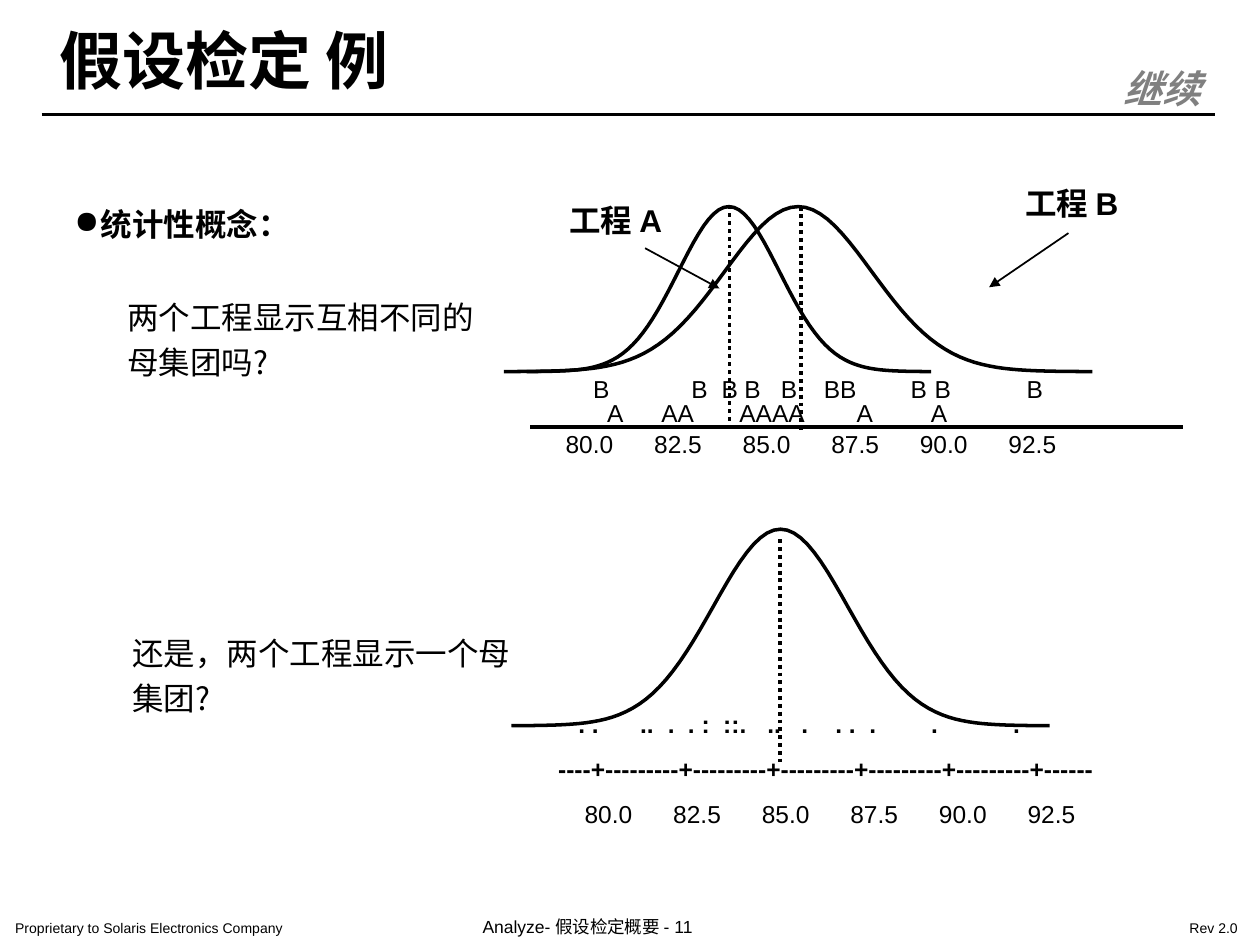
from dataclasses import dataclass
from math import exp
from typing import Optional

from lxml.etree import SubElement
from pptx import Presentation
from pptx.dml.color import RGBColor
from pptx.enum.dml import MSO_LINE_DASH_STYLE as Dash
from pptx.enum.shapes import MSO_CONNECTOR as Connector
from pptx.enum.text import MSO_ANCHOR as Anchor, MSO_AUTO_SIZE as AutoSize
from pptx.oxml.ns import qn
from pptx.util import Inches, Pt

COLUMNS, ROWS = 100, 75  # square grid cells over the whole slide


@dataclass(frozen=True)
class Theme:
    ink: RGBColor = RGBColor(0, 0, 0)
    muted: RGBColor = RGBColor(128, 128, 128)
    latin: str = "Arial"
    chinese: str = "Noto Sans CJK SC"
    heading: str = "Noto Sans CJK KR"
    title: float = 36
    marker: float = 22
    body: float = 18
    data: float = 14
    footer: float = 10
    small: float = 8


THEME = Theme()


@dataclass(frozen=True)
class Line:
    """One paragraph; stops are tab offsets in grid columns."""
    text: str
    size: float = THEME.body
    font: str = THEME.latin
    bold: bool = False
    italic: bool = False
    color: RGBColor = THEME.ink
    spacing: Optional[float] = None
    before: float = 0
    indent: float = 0
    bullet: str = ""
    stops: tuple[float, ...] = ()


@dataclass(frozen=True)
class Label:
    col: float
    row: float
    cols: float
    rows: float
    lines: tuple[Line, ...]
    inset: tuple[float, float] = (1, 0.5)
    wrap: bool = True
    grow: bool = True
    anchor: Anchor = Anchor.TOP


@dataclass(frozen=True)
class Bell:
    """A normal curve spanning four deviations either side of its peak."""
    col: float
    base: float
    cols: float
    rows: float


@dataclass(frozen=True)
class Rule:
    start: tuple[float, float]
    end: tuple[float, float]
    width: float
    dash: Optional[Dash] = None
    arrow: bool = False


deck = Presentation()
deck.slide_width, deck.slide_height = Inches(10), Inches(7.5)
page = deck.slides.add_slide(deck.slide_layouts[6])


def across(cols: float) -> int:
    return round(deck.slide_width * cols / COLUMNS)


def down(rows: float) -> int:
    return round(deck.slide_height * rows / ROWS)


def apply(target: object, values: dict) -> None:
    for name, value in values.items():
        setattr(target, name, value)


def tabbed(entries: dict[float, str], **style) -> Line:
    """Entries placed at tab offsets; an offset of zero needs no tab."""
    lead = "" if 0 in entries else "\t"
    stops = tuple(offset for offset in entries if offset)
    return Line(lead + "\t".join(entries.values()), THEME.data, stops=stops, **style)


def scale_line(offset: float, before: float = 0) -> Line:
    """Axis values from 80.0 to 92.5 in equal steps."""
    return tabbed({round(offset + 7.03 * step, 2): f"{80 + 2.5 * step:.1f}"
                   for step in range(6)}, before=before)


def write_line(para, line: Line) -> None:
    apply(para, {"line_spacing": line.spacing, "space_before": Pt(line.before)})
    props = para._p.get_or_add_pPr()
    if line.indent:
        props.set("marL", str(across(line.indent)))
    if line.bullet:
        props.set("indent", str(-across(line.indent)))
        SubElement(props, qn("a:buChar"), char=line.bullet)
    if line.stops:
        tabs = SubElement(props, qn("a:tabLst"))
        for stop in line.stops:
            SubElement(tabs, qn("a:tab"), pos=str(across(stop)), algn="l")
    span = para.add_run()
    span.text = line.text
    apply(span.font, {"size": Pt(line.size), "bold": line.bold,
                      "italic": line.italic, "name": line.font})
    span.font.color.rgb = line.color
    east = THEME.chinese if line.font == THEME.latin else line.font
    SubElement(span._r.get_or_add_rPr(), qn("a:ea"), typeface=east)


def draw_label(label: Label) -> None:
    box = page.shapes.add_textbox(across(label.col), down(label.row),
                                  across(label.cols), down(label.rows))
    side, edge = across(label.inset[0]), down(label.inset[1])
    frame = box.text_frame
    apply(frame, {"margin_left": side, "margin_right": side, "margin_top": edge,
                  "margin_bottom": edge, "word_wrap": label.wrap,
                  "vertical_anchor": label.anchor,
                  "auto_size": AutoSize.SHAPE_TO_FIT_TEXT if label.grow else AutoSize.NONE})
    for index, line in enumerate(label.lines):
        write_line(frame.add_paragraph() if index else frame.paragraphs[0], line)


def draw_bell(bell: Bell) -> None:
    points = [(across(bell.col + bell.cols * step / 80),
               down(bell.base - bell.rows * exp(-((step - 40) / 10) ** 2 / 2)))
              for step in range(81)]
    builder = page.shapes.build_freeform(*points[0])
    builder.add_line_segments(points[1:], close=False)
    curve = builder.convert_to_shape()
    curve.shadow.inherit = False
    curve.fill.background()
    curve.line.color.rgb = THEME.ink
    curve.line.width = Pt(2)


def draw_rule(rule: Rule) -> None:
    (col, row), (end_col, end_row) = rule.start, rule.end
    link = page.shapes.add_connector(Connector.STRAIGHT, across(col), down(row),
                                     across(end_col), down(end_row))
    link.line.color.rgb = THEME.ink
    apply(link.line, {"width": Pt(rule.width), "dash_style": rule.dash})
    if rule.arrow:
        SubElement(link.line._get_or_add_ln(), qn("a:tailEnd"), type="triangle")
    SubElement(link._element.spPr, qn("a:effectLst"))


def mean_line(col: float, row: float) -> Rule:
    return Rule((col, row), (col, row + 17.7), 2.25, Dash.ROUND_DOT)


FOOT = (1.2, 0.6)
CHINESE = {"font": THEME.chinese, "spacing": 1.2}

# Footer, title and continuation mark
frame_labels = [
    Label(0, 72.4, 32.1, 2.5,
          (Line("Proprietary to Solaris Electronics Company", THEME.small),), FOOT),
    Label(37.1, 72.1, 24.7, 2.9,
          (Line("Analyze- 假设检定概要 - 11", THEME.footer),), FOOT, wrap=False),
    Label(93.2, 72.4, 6.3, 2.5, (Line("Rev 2.0", THEME.small),), FOOT, wrap=False),
    Label(3.8, 1.1, 35.6, 7.2,
          (Line("假设检定 例", THEME.title, THEME.heading, bold=True),),
          (0.9, 0.5), grow=False, anchor=Anchor.MIDDLE),
    Label(88, 4.6, 8.5, 4.9,
          (Line("继续", THEME.marker, bold=True, italic=True, color=THEME.muted),),
          FOOT, wrap=False),
]

# Questions on the left
question_labels = [
    Label(5, 15.2, 35.5, 12.3,
          (Line("统计性概念：", bold=True, indent=2.1, bullet="●", **CHINESE),
           Line("两个工程显示互相不同的母集团吗?", before=27, indent=4.2, **CHINESE)),
          (0.9, 0.5), grow=False),
    Label(9.5, 49.2, 32.3, 8.2, (Line("还是，两个工程显示一个母集团?", **CHINESE),)),
]

# Data rows and axes of the two diagrams
a_marks = {0: "A", 4.3: "AA", 10.5: "AAAA", 19.8: "A", 25.7: "A"}
b_marks = {0: "B", 7.8: "B", 10.2: "B", 12: "B", 14.9: "B", 18.3: "BB",
           25.2: "B", 27.1: "B", 34.4: "B"}
dots = {1.6: ". .", 6.5: "..", 8.7: ".", 10.3: ". :", 13.1: "::.", 16.6: "..",
        19.3: ".", 22: ". .", 24.7: ".", 29.6: ".", 36.1: "."}
dashes = "----+" + "---------+" * 5 + "------"
data_labels = [
    Label(44.2, 15.5, 10.9, 4, (Line("工程 A", bold=True),)),
    Label(80.4, 14.1, 11.2, 4, (Line("工程 B", bold=True),)),
    Label(43.9, 33.6, 50.8, 3.3, (scale_line(0),)),
    Label(47.2, 31.1, 42.6, 3.3, (tabbed(a_marks),)),
    Label(46.1, 29.2, 50.4, 3.3, (tabbed(b_marks),)),
    Label(43.5, 55.9, 49.5, 10.3,
          (tabbed(dots, bold=True),
           Line(dashes, THEME.data, bold=True, before=8.8),
           scale_line(2.1, before=8.8)), (0.8, 0.4)),
]

bells = [Bell(40.6, 57.6, 42.7, 15.6), Bell(41.8, 29.5, 32.1, 13.1),
         Bell(40, 29.5, 46.7, 13.1)]
rules = [
    Rule((3.3, 9.1), (96.4, 9.1), 1.5),
    Rule((42.1, 33.9), (93.9, 33.9), 2),
    Rule((51.2, 19.7), (57.1, 22.9), 1, arrow=True),
    Rule((84.8, 18.5), (78.5, 22.8), 1, arrow=True),
    mean_line(57.9, 16.3), mean_line(63.6, 16.4), mean_line(61.9, 42.8),
]

for bell in bells:
    draw_bell(bell)
for label in frame_labels + question_labels + data_labels:
    draw_label(label)
for rule in rules:
    draw_rule(rule)

deck.save("out.pptx")
